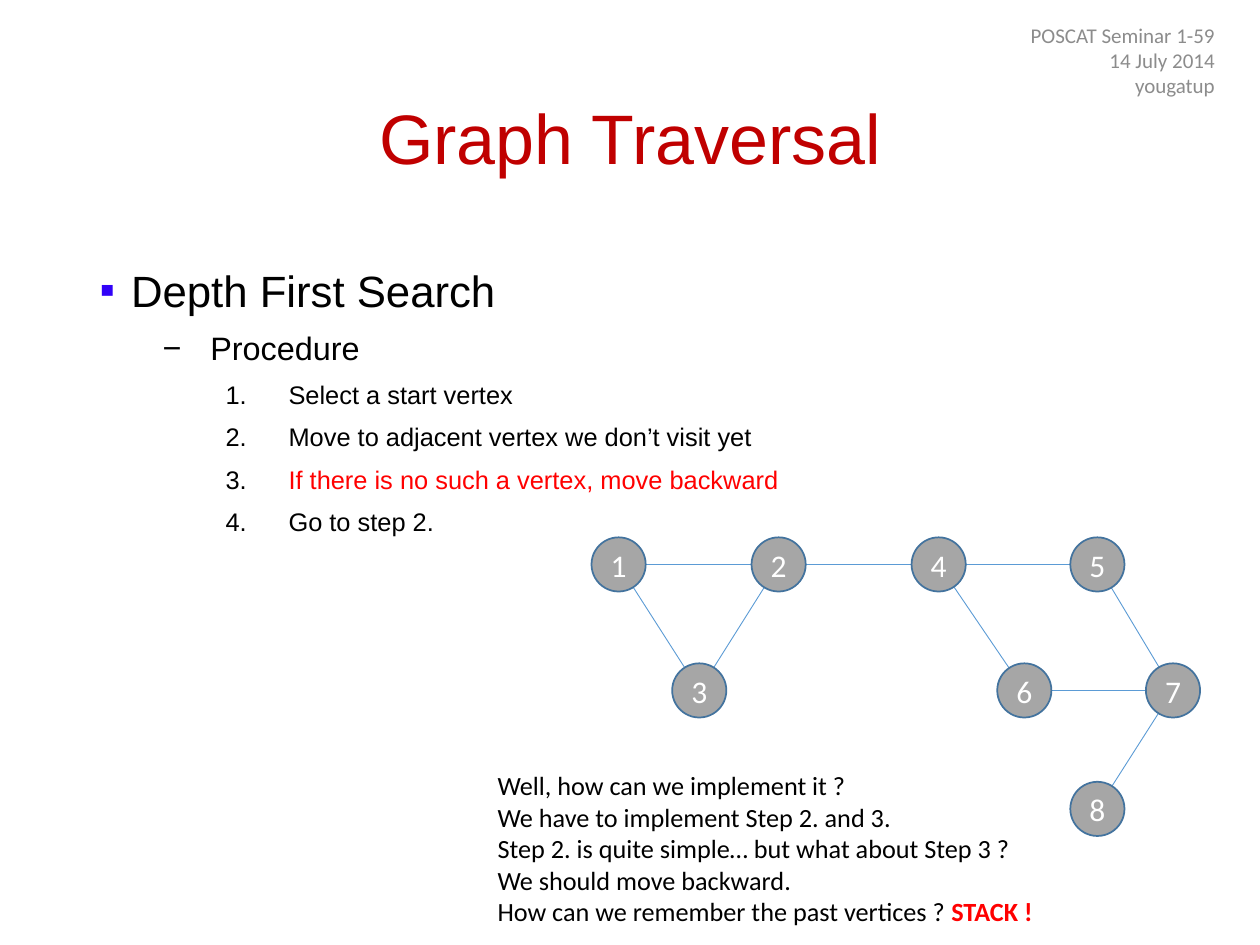
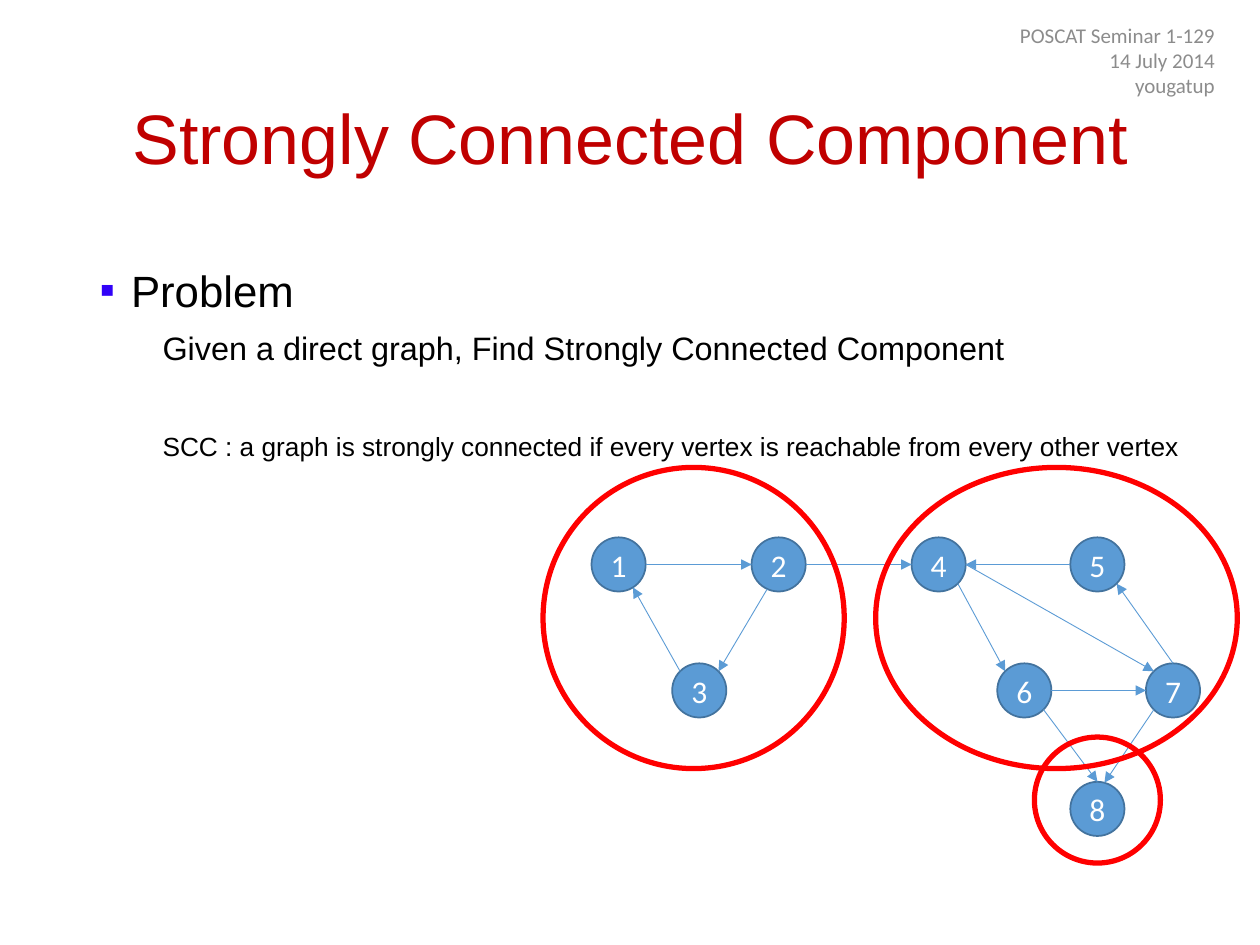
import math
from dataclasses import dataclass

import pptx
import pptx.dml.color
import pptx.enum.shapes
import pptx.enum.text
import pptx.oxml.ns
import pptx.util
from lxml import etree
from pptx.util import Inches, Pt

ALIGN = pptx.enum.text.PP_ALIGN
ANCHOR = pptx.enum.text.MSO_ANCHOR
AUTO_SIZE = pptx.enum.text.MSO_AUTO_SIZE
OVAL = pptx.enum.shapes.MSO_SHAPE.OVAL
STRAIGHT = pptx.enum.shapes.MSO_CONNECTOR.STRAIGHT
qn = pptx.oxml.ns.qn

BLACK, WHITE, RED = "000000", "FFFFFF", "FF0000"
TITLE_RED, HEADER_GRAY, BULLET_BLUE = "C00000", "8C8C8C", "3102F8"
BLUE, NODE_EDGE, VISITED_GRAY = "5B9BD5", "43739E", "A6A6A6"
HEADING_FONT, TEXT_FONT = "Arial", "Calibri"

RADIUS = 0.215
TOP_ROW, MIDDLE_ROW, BOTTOM_ROW = 4.48, 5.48, 6.42
NODES = {
    1: (4.91, TOP_ROW), 2: (6.18, TOP_ROW), 4: (7.45, TOP_ROW), 5: (8.71, TOP_ROW),
    3: (5.55, MIDDLE_ROW), 6: (8.13, MIDDLE_ROW), 7: (9.31, MIDDLE_ROW),
    8: (8.71, BOTTOM_ROW),
}
UNDIRECTED_EDGES = [(1, 2), (1, 3), (3, 2), (2, 4), (4, 5), (4, 6), (6, 7), (5, 7), (7, 8)]


@dataclass
class Arrow:
    """A directed edge; angles are degrees clockwise from east on each node's rim."""
    start: int
    start_angle: float
    end: int
    end_angle: float


ARROWS = [
    Arrow(1, 0, 2, 180), Arrow(2, 115, 3, -45), Arrow(3, 225, 1, 58),
    Arrow(2, 0, 4, 180), Arrow(4, 45, 6, 225), Arrow(4, 0, 7, 225),
    Arrow(6, 0, 7, 180), Arrow(7, -90, 5, 45), Arrow(5, 180, 4, 0),
    Arrow(6, 45, 8, -90), Arrow(7, 135, 8, -75),
]


@dataclass
class Ring:
    """A red outline around one strongly connected component."""
    left: float
    top: float
    width: float
    height: float


RINGS = [Ring(4.31, 3.71, 2.39, 2.39), Ring(6.95, 3.71, 2.87, 2.39), Ring(8.21, 5.85, 1, 1)]


@dataclass
class Item:
    text: str
    size: float
    level: int = 0
    margin: float = 0.25
    indent: float = -0.25
    before: float = 5
    bullet: str = ""
    bullet_color: str = BLACK
    color: str = BLACK


def heading(text: str) -> Item:
    return Item(text, 25, before=10, bullet="▪", bullet_color=BULLET_BLUE)


def step(text: str, color: str = BLACK) -> Item:
    return Item(text, 14.5, 2, 1.5, -0.5, bullet="1.", color=color)


def plain(text: str, size: float, before: float = 5) -> Item:
    return Item(text, size, 1, 0.5, 0, before)


def rgb(color: str) -> pptx.dml.color.RGBColor:
    return pptx.dml.color.RGBColor.from_string(color)


def style(p, size: float, font: str, color: str) -> None:
    for r in p.runs:
        r.font.size, r.font.name = Pt(size), font
        r.font.color.rgb = rgb(color)


def place(sp, left: float, top: float, width: float, height: float) -> None:
    sp.left, sp.top = Inches(left), Inches(top)
    sp.width, sp.height = Inches(width), Inches(height)


def set_bullet(p, item: Item) -> None:
    ppr = p._p.get_or_add_pPr()
    ppr.set("marL", str(Inches(item.margin)))
    ppr.set("indent", str(Inches(item.indent)))
    if not item.bullet:
        etree.SubElement(ppr, qn("a:buNone"))
        return
    color = etree.SubElement(ppr, qn("a:buClr"))
    etree.SubElement(color, qn("a:srgbClr"), val=item.bullet_color)
    etree.SubElement(ppr, qn("a:buFont"), typeface=HEADING_FONT)
    if item.bullet == "1.":
        etree.SubElement(ppr, qn("a:buAutoNum"), type="arabicPeriod")
    else:
        etree.SubElement(ppr, qn("a:buChar"), char=item.bullet)


def add_base_slide(prs, title: str, page: int, items: list[Item]):
    """Add a slide with its title, list and corner header."""
    s = prs.slides.add_slide(prs.slide_layouts[1])
    sp = s.shapes.title
    place(sp, 0.69, 0.4, 8.62, 1.45)
    tf = sp.text_frame
    tf.text = title
    tf.auto_size, tf.vertical_anchor = AUTO_SIZE.NONE, ANCHOR.MIDDLE
    p = tf.paragraphs[0]
    p.alignment, p.line_spacing = ALIGN.CENTER, 0.9
    style(p, 40, HEADING_FONT, TITLE_RED)

    body = s.placeholders[1]
    place(body, 0.69, 2, 9.13, 4.76)
    tf = body.text_frame
    tf.text = "\n".join(item.text for item in items)
    tf.auto_size = AUTO_SIZE.NONE
    for p, item in zip(tf.paragraphs, items):
        p.level, p.line_spacing, p.space_before = item.level, 1.1, Pt(item.before)
        set_bullet(p, item)
        style(p, item.size, HEADING_FONT, item.color)

    header = s.shapes.add_textbox(Inches(7.49), Inches(0.2), Inches(2.25), Inches(0.55))
    tf = header.text_frame
    tf.word_wrap, tf.vertical_anchor = True, ANCHOR.MIDDLE
    tf.text = f"POSCAT Seminar 1-{page}\n14 July 2014\nyougatup"
    for p in tf.paragraphs:
        p.alignment = ALIGN.RIGHT
        style(p, 12, TEXT_FONT, HEADER_GRAY)
    return s


def add_oval(s, left: float, top: float, width: float, height: float,
             line: str, weight: float):
    sp = s.shapes.add_shape(OVAL, Inches(left), Inches(top), Inches(width), Inches(height))
    sp.shadow.inherit = False
    sp.fill.background()
    sp.line.color.rgb, sp.line.width = rgb(line), Pt(weight)
    return sp


def add_nodes(s, fill: str) -> None:
    for number, (x, y) in sorted(NODES.items()):
        sp = add_oval(s, x - RADIUS, y - RADIUS, 2 * RADIUS, 2 * RADIUS, NODE_EDGE, 1)
        sp.fill.solid()
        sp.fill.fore_color.rgb = rgb(fill)
        tf = sp.text_frame
        tf.margin_left = tf.margin_right = tf.margin_top = tf.margin_bottom = 0
        tf.vertical_anchor = ANCHOR.MIDDLE
        tf.text = str(number)
        tf.paragraphs[0].alignment = ALIGN.CENTER
        style(tf.paragraphs[0], 18, TEXT_FONT, WHITE)


def add_edge(s, start: tuple[float, float], end: tuple[float, float],
             arrow: bool = False) -> None:
    edge = s.shapes.add_connector(STRAIGHT, *map(Inches, start + end))
    edge.line.color.rgb, edge.line.width = rgb(BLUE), Pt(0.5)
    if arrow:
        etree.SubElement(edge.line._get_or_add_ln(), qn("a:tailEnd"), type="triangle")
    etree.SubElement(edge._element.spPr, qn("a:effectLst"))


def rim_point(node: int, angle: float) -> tuple[float, float]:
    x, y = NODES[node]
    turn = math.radians(angle)
    return x + RADIUS * math.cos(turn), y + RADIUS * math.sin(turn)


def add_stack_note(s) -> None:
    note = s.shapes.add_textbox(Inches(3.85), Inches(6.06), Inches(4.48), Inches(1.36))
    tf = note.text_frame
    tf.word_wrap, tf.auto_size = False, AUTO_SIZE.SHAPE_TO_FIT_TEXT
    tf.text = "\n".join([
        "Well, how can we implement it ?",
        "We have to implement Step 2. and 3.",
        "Step 2. is quite simple… but what about Step 3 ?",
        "We should move backward.",
        "How can we remember the past vertices ? ",
    ])
    answer = tf.paragraphs[-1].add_run()
    answer.text = "STACK !"
    for p in tf.paragraphs:
        style(p, 15, TEXT_FONT, BLACK)
    answer.font.bold, answer.font.color.rgb = True, rgb(RED)


def add_traversal_slide(prs) -> None:
    s = add_base_slide(prs, "Graph Traversal", 59, [
        heading("Depth First Search"),
        Item("Procedure", 18.5, 1, 0.88, -0.38, bullet="−"),
        step("Select a start vertex"),
        step("Move to adjacent vertex we don’t visit yet"),
        step("If there is no such a vertex, move backward", RED),
        step("Go to step 2."),
    ])
    for start, end in UNDIRECTED_EDGES:
        add_edge(s, NODES[start], NODES[end])
    add_nodes(s, VISITED_GRAY)
    add_stack_note(s)


def add_component_slide(prs) -> None:
    s = add_base_slide(prs, "Strongly Connected Component", 129, [
        heading("Problem"),
        plain("Given a direct graph, Find Strongly Connected Component", 18.5),
        plain("SCC : a graph is strongly connected if every vertex is reachable "
              "from every other vertex", 15, before=34),
    ])
    add_nodes(s, BLUE)
    for a in ARROWS:
        add_edge(s, rim_point(a.start, a.start_angle), rim_point(a.end, a.end_angle), True)
    for ring in RINGS:
        add_oval(s, ring.left, ring.top, ring.width, ring.height, RED, 3)


def main() -> None:
    prs = pptx.Presentation()
    prs.slide_width, prs.slide_height = Inches(10), Inches(7.5)
    add_traversal_slide(prs)
    add_component_slide(prs)
    prs.save("out.pptx")


if __name__ == "__main__":
    main()
